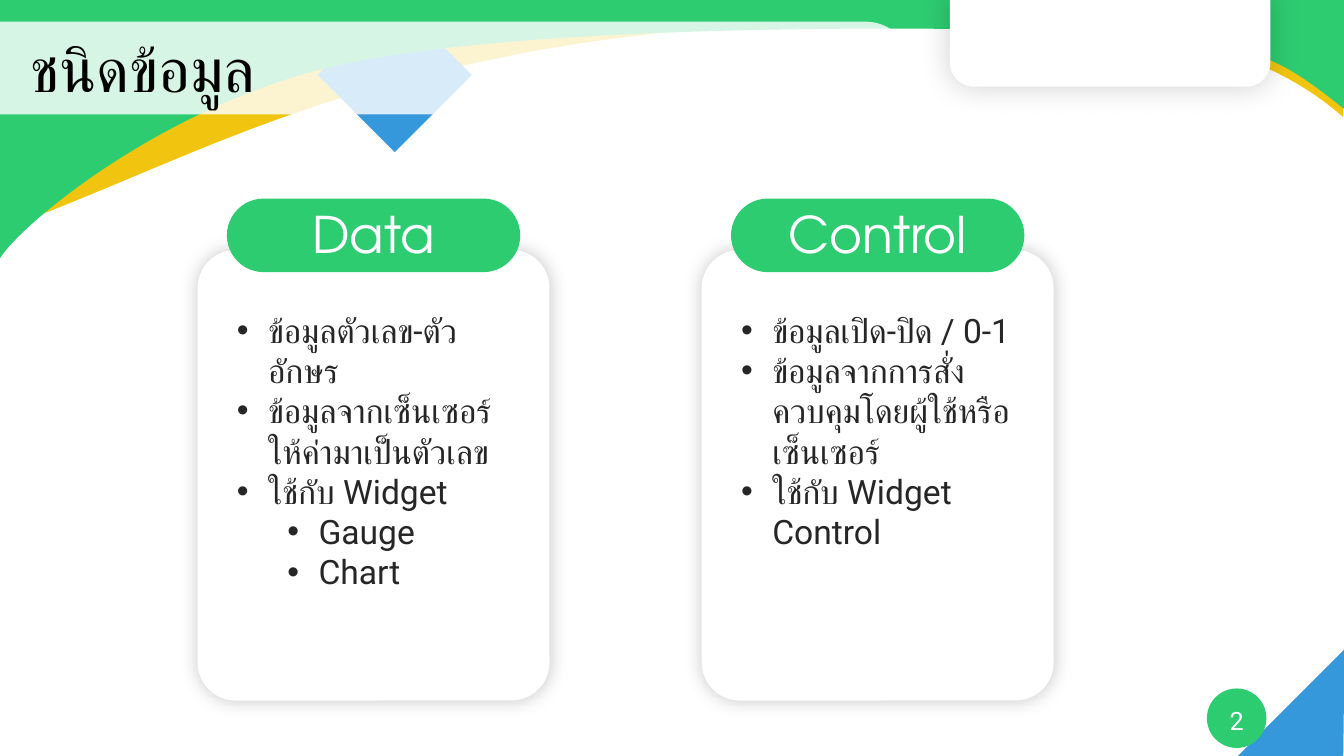
import pptx
import pptx.util
import pptx.dml.color
import pptx.enum.shapes
import pptx.enum.text
import pptx.oxml.ns
import lxml.etree

Inches = pptx.util.Inches
Pt = pptx.util.Pt
qn = pptx.oxml.ns.qn
SHAPE = pptx.enum.shapes.MSO_SHAPE
ALIGN = pptx.enum.text.PP_ALIGN
ANCHOR = pptx.enum.text.MSO_ANCHOR
AUTO_SIZE = pptx.enum.text.MSO_AUTO_SIZE

COLOURS = {
    "green": "2ECC71",
    "yellow": "F1C40F",
    "blue": "3498DB",
    "white": "FFFFFF",
    "black": "000000",
    "text": "262626",
}
BODY_FONT = "Roboto"
HEADING_FONT = "TeX Gyre Adventor"

YELLOW_WAVE = [
    [(0.01, 2.28)],
    [(1.63, 1.68), (2.75, 1.02), (4.88, 0.59)],
    [(6.62, 0.21), (9.06, 0.12), (10.46, 0.21)],
    [(11.87, 0.31), (12.73, 0.64), (13.32, 1.16)],
    [(13.33, -0.11)],
    [(-0.01, 0.01)],
]
GREEN_WAVE = [
    [(-0.01, 2.58)],
    [(0.16, 2.26), (1.65, 1), (3.44, 0.63)],
    [(5.24, 0.25), (9.13, 0.25), (10.78, 0.32)],
    [(12.43, 0.4), (12.66, 0.55), (13.33, 1.08)],
    [(13.33, 0.68), (13.33, 0.28), (13.33, -0.12)],
    [(-0.01, 0)],
]
CARDS = [
    ("Data", 2.93, [
        (0, "ข้อมูลตัวเลข-ตัวอักษร"),
        (0, "ข้อมูลจากเซ็นเซอร์ ให้ค่ามาเป็นตัวเลข"),
        (0, "ใช้กับ Widget"),
        (1, "Gauge"),
        (1, "Chart"),
    ]),
    ("Control", 2.52, [
        (0, "ข้อมูลเปิด-ปิด / 0-1"),
        (0, "ข้อมูลจากการสั่งควบคุมโดยผู้ใช้หรือเซ็นเซอร์"),
        (0, "ใช้กับ Widget Control"),
    ]),
]


def rgb(colour):
    return pptx.dml.color.RGBColor.from_string(COLOURS[colour])


def add_node(parent, tag, **attributes):
    values = {name: str(value) for name, value in attributes.items()}
    return lxml.etree.SubElement(parent, qn(tag), values)


def paint(shape, colour):
    shape.fill.solid()
    shape.fill.fore_color.rgb = rgb(colour)
    shape.line.fill.background()
    shape.shadow.inherit = False


def add_block(slide, kind, box, colour, adjustments=(), rotation=0):
    shape = slide.shapes.add_shape(kind, *map(Inches, box))
    for index, value in enumerate(adjustments):
        shape.adjustments[index] = value
    shape.rotation = rotation
    paint(shape, colour)
    return shape


def add_shadow(shape, opacity, blur, direction=0):
    effects = shape._element.spPr.find(qn("a:effectLst"))
    shadow = add_node(effects, "a:outerShdw", blurRad=Pt(blur), dist=0,
                      dir=direction * 60000, algn="ctr", rotWithShape=0)
    colour = add_node(shadow, "a:srgbClr", val=COLOURS["black"])
    add_node(colour, "a:alpha", val=opacity * 1000)


def set_opacity(shape, opacity):
    colour = shape._element.spPr.find(qn("a:solidFill"))[0]
    add_node(colour, "a:alpha", val=opacity * 1000)


def add_wave(slide, segments, colour):
    points = [(Inches(x), Inches(y)) for segment in segments for x, y in segment]
    builder = slide.shapes.build_freeform(*points[0])
    builder.add_line_segments(points[1:], close=True)
    wave = builder.convert_to_shape()
    paint(wave, colour)
    lines = list(wave._element.iter(qn("a:lnTo")))
    for segment in segments[1:]:
        first, *others = lines[:len(segment)]
        del lines[:len(segment)]
        if others:
            first.tag = qn("a:cubicBezTo")
            for line in others:
                first.append(line[0])
                line.getparent().remove(line)


def add_run(paragraph, text, size, font, colour):
    run = paragraph.add_run()
    run.text = text
    run.font.size = Pt(size)
    run.font.name = font
    run.font.color.rgb = rgb(colour)
    add_node(run._r.get_or_add_rPr(), "a:cs", typeface=font)


def add_label(slide, box, text, size, font, anchor):
    frame = slide.shapes.add_textbox(*map(Inches, box)).text_frame
    frame.word_wrap = True
    frame.vertical_anchor = anchor
    paragraph = frame.paragraphs[0]
    paragraph.alignment = ALIGN.CENTER
    add_run(paragraph, text, size, font, "white")


def place(slide, placeholder, box, anchor):
    placeholder.left, placeholder.top, placeholder.width, placeholder.height = map(Inches, box)
    slide.shapes._spTree.append(placeholder._element)
    frame = placeholder.text_frame
    frame.auto_size = AUTO_SIZE.NONE
    frame.vertical_anchor = anchor
    return frame


def fill_title(slide, text):
    frame = place(slide, slide.shapes.title, (0.2, 0.15, 12.18, 1.14), ANCHOR.MIDDLE)
    paragraph = frame.paragraphs[0]
    paragraph.alignment = ALIGN.LEFT
    paragraph.line_spacing = 0.9
    add_run(paragraph, text, 44, BODY_FONT, "black")


def fill_list(slide, placeholder, box, items):
    frame = place(slide, placeholder, box, ANCHOR.TOP)
    for index, (level, text) in enumerate(items):
        paragraph = frame.add_paragraph() if index else frame.paragraphs[0]
        paragraph.level = level
        paragraph.space_before = Pt(0)
        properties = paragraph._p.get_or_add_pPr()
        properties.set("marL", str(Inches(0.31 + 0.5 * level)))
        properties.set("indent", str(Inches(-0.31)))
        add_node(properties, "a:buFont", typeface="Arial")
        add_node(properties, "a:buChar", char="•")
        add_run(paragraph, text, 24, BODY_FONT, "text")


def add_card(slide, placeholder, left, heading, list_height, items):
    card = add_block(slide, SHAPE.ROUNDED_RECTANGLE, (left, 2.48, 3.49, 4.47), "white", [0.108])
    add_shadow(card, 22, 13, 45)
    inner = left + 0.29
    add_block(slide, SHAPE.ROUNDED_RECTANGLE, (inner, 1.97, 2.91, 0.73), "green", [0.5])
    add_label(slide, (inner, 1.97, 2.91, 0.71), heading, 36, HEADING_FONT, ANCHOR.TOP)
    fill_list(slide, placeholder, (inner, 3.02, 2.91, list_height), items)


def add_background(slide):
    add_block(slide, SHAPE.ISOSCELES_TRIANGLE, (12.3, 6.87, 1.52, 0.74), "blue", rotation=135)
    add_block(slide, SHAPE.OVAL, (11.97, 6.83, 0.59, 0.59), "green")
    add_wave(slide, YELLOW_WAVE, "yellow")
    add_block(slide, SHAPE.DIAMOND, (3.15, -0.02, 1.53, 1.53), "blue")
    add_wave(slide, GREEN_WAVE, "green")
    tab = add_block(slide, SHAPE.ROUND_2_SAME_RECTANGLE, (9.42, -0.09, 3.18, 0.95),
                    "white", [0.254, 0], 180)
    add_shadow(tab, 19, 22)
    ribbon = add_block(slide, SHAPE.ROUND_2_SAME_RECTANGLE, (4.06, -3.85, 0.92, 9.05),
                       "white", [0.5, 0], 90)
    set_opacity(ribbon, 81)


def main():
    presentation = pptx.Presentation()
    presentation.slide_width = Inches(13.33)
    presentation.slide_height = Inches(7.5)
    slide = presentation.slides.add_slide(presentation.slide_layouts[3])
    add_background(slide)
    fill_title(slide, "ชนิดข้อมูล")
    add_label(slide, (11.97, 6.95, 0.59, 0.4), "2", 18, BODY_FONT, ANCHOR.MIDDLE)
    for index, (heading, list_height, items) in enumerate(CARDS):
        placeholder = slide.placeholders[index + 1]
        add_card(slide, placeholder, 1.96 + 5 * index, heading, list_height, items)
    presentation.save("out.pptx")


if __name__ == "__main__":
    main()
